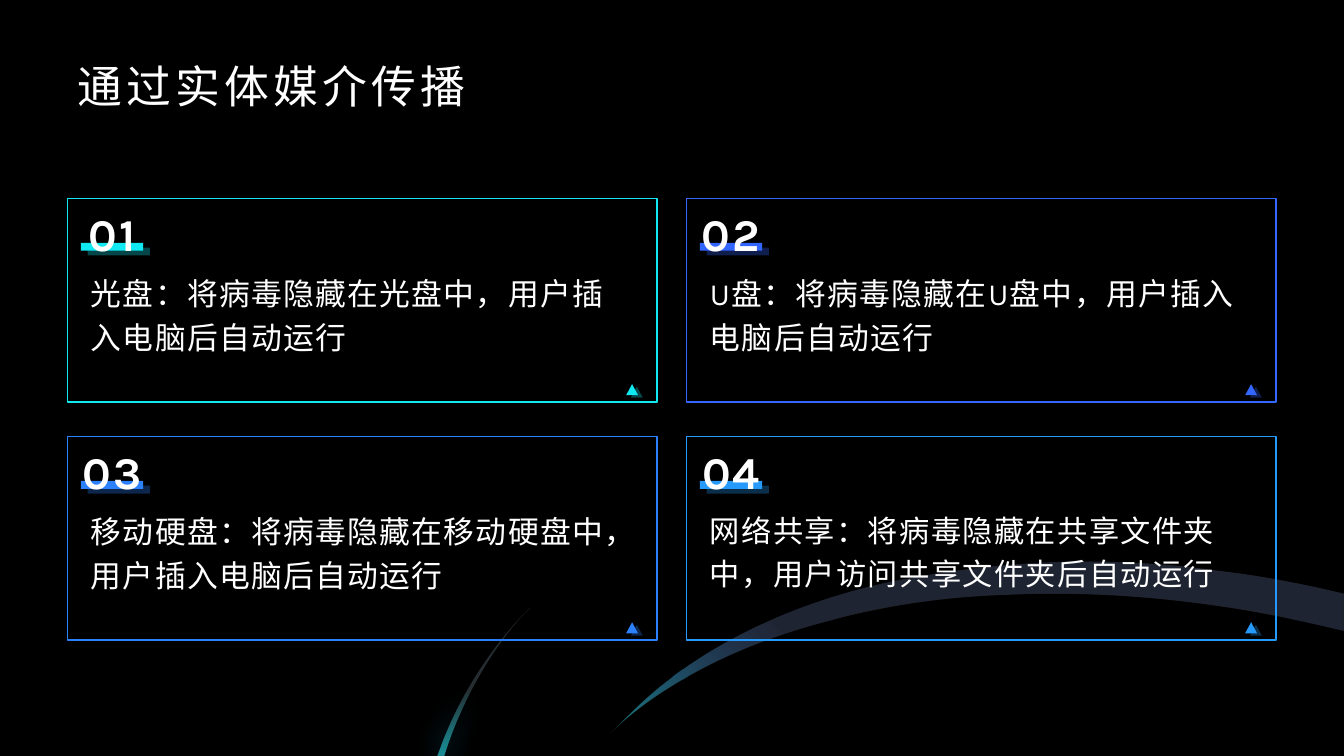
from dataclasses import dataclass
from typing import NamedTuple

from lxml import etree
from pptx import Presentation
from pptx.dml.color import RGBColor
from pptx.enum.shapes import MSO_SHAPE
from pptx.enum.text import MSO_ANCHOR, MSO_AUTO_SIZE, PP_ALIGN
from pptx.oxml.ns import qn
from pptx.util import Cm, Pt

RECT, TRI = MSO_SHAPE.RECTANGLE, MSO_SHAPE.ISOSCELES_TRIANGLE
TOP, BASE = MSO_ANCHOR.TOP, MSO_ANCHOR.BOTTOM
LEFT, MID = PP_ALIGN.LEFT, PP_ALIGN.CENTER
FIXED = MSO_AUTO_SIZE.NONE


@dataclass(frozen=True)
class Theme:
    back: str = "000000"
    text: str = "FFFFFF"
    teal: str = "10E9F2"
    blue: str = "3366FF"
    azure: str = "2C80FC"
    sky: str = "259AFA"
    glow: str = "1EB5F7"
    band: str = "1E1D1B"
    streak: str = "252D30"
    head: str = "Roboto"
    body: str = "Karla"
    title: float = 32
    note: float = 22
    small: float = 21.6
    num: float = 32.4


class Box(NamedTuple):
    left: float
    top: float
    width: float
    height: float

    def emu(self) -> list:
        return [Cm(v) for v in self]


class Card(NamedTuple):
    num: str
    text: str
    color: str
    size: float


class Mark(NamedTuple):
    kind: int
    box: Box
    alpha: int


class Stop(NamedTuple):
    pos: int
    color: str
    alpha: int


T = Theme()
CARDS = [
    Card("01", "光盘：将病毒隐藏在光盘中，用户插入电脑后自动运行", T.teal, T.note),
    Card("02", "U盘：将病毒隐藏在U盘中，用户插入电脑后自动运行", T.blue, T.note),
    Card("03", "移动硬盘：将病毒隐藏在移动硬盘中，用户插入电脑后自动运行",
         T.azure, T.note),
    Card("04", "网络共享：将病毒隐藏在共享文件夹中，用户访问共享文件夹后自动运行",
         T.sky, T.small),
]

# Card grid, and places inside a card
FIRST = Box(1.7, 5, 14.86, 5.13)
STEP_X, STEP_Y = 15.6, 6
BODY = Box(0.34, 1.6, 13.87, 3.3)
NUM = Box(0.06, -0.1, 2.13, 1.8)
MARKS = [
    Mark(RECT, Box(0.51, 1.24, 1.57, 0.2), 30),
    Mark(RECT, Box(0.34, 1.12, 1.57, 0.2), 100),
    Mark(TRI, Box(14.2, 4.74, 0.3, 0.28), 30),
    Mark(TRI, Box(14.08, 4.68, 0.3, 0.28), 100),
]

# Outlines: a pair is a line end, six numbers are a cubic curve
BAND = [
    (15.37, 18.49), (16.15, 17.73),
    (17.02, 16.92, 18.03, 16.28, 19.15, 15.75),
    (20.32, 15.21, 21.59, 14.81, 22.86, 14.58),
    (24.38, 14.3, 25.91, 14.15, 27.36, 14.15),
    (28.45, 14.15, 29.59, 14.22, 30.68, 14.38),
    (31.75, 14.5, 32.82, 14.71, 33.87, 14.96),
    (33.87, 15.9),
    (32.82, 15.65, 31.75, 15.42, 30.68, 15.27),
    (28.88, 15.01, 27.13, 14.91, 25.4, 14.99),
    (23.77, 15.04, 22.25, 15.27, 20.8, 15.67),
    (19.63, 15.98, 18.59, 16.38, 17.63, 16.89),
    (16.76, 17.35, 16, 17.88, 15.37, 18.49),
]
STREAK = [
    (13.36, 15.32), (12.6, 16.05, 11.68, 17.48, 11.2, 19.05),
    (11.02, 19.05), (11.83, 16.7, 13.36, 15.32, 13.36, 15.32),
]


def tint(node, color: str, alpha: int) -> None:
    clr = etree.SubElement(node, qn("a:srgbClr"), val=color)
    etree.SubElement(clr, qn("a:alpha"), val=str(alpha * 1000))


def paint(shape, color: str, alpha: int = 100) -> None:
    shape.shadow.inherit = False
    shape.line.fill.background()
    shape.fill.solid()
    shape.fill.fore_color.rgb = RGBColor.from_string(color)
    if alpha < 100:
        clr = shape.fill._xPr.find(".//" + qn("a:srgbClr"))
        etree.SubElement(clr, qn("a:alpha"), val=str(alpha * 1000))


def blend(shape, stops: list[Stop], angle: int) -> None:
    shape.fill.background()
    props = shape.fill._xPr
    grad = etree.Element(qn("a:gradFill"), rotWithShape="1")
    group = etree.SubElement(grad, qn("a:gsLst"))
    for stop in stops:
        node = etree.SubElement(group, qn("a:gs"), pos=str(stop.pos * 1000))
        tint(node, stop.color, stop.alpha)
    etree.SubElement(grad, qn("a:lin"), ang=str(angle * 60000), scaled="0")
    props.replace(props.find(qn("a:noFill")), grad)


def halo(shape, color: str, blur: int) -> None:
    effects = shape.fill._xPr.find(qn("a:effectLst"))
    node = etree.SubElement(effects, qn("a:outerShdw"), blurRad=str(Pt(blur)),
                            dist="0", dir="0", algn="ctr", rotWithShape="0")
    tint(node, color, 100)


def trace(outline: list[tuple], parts: int = 16) -> list[tuple]:
    points = [outline[0]]
    for step in outline[1:]:
        if len(step) == 2:
            points.append(step)
            continue
        start = points[-1]
        for i in range(1, parts + 1):
            t = i / parts
            u = 1 - t
            points.append(tuple(
                u**3 * start[k] + 3 * u * u * t * step[k]
                + 3 * u * t * t * step[k + 2] + t**3 * step[k + 4]
                for k in (0, 1)))
    return [(Cm(x), Cm(y)) for x, y in points]


def curve(slide, outline: list[tuple], color: str):
    points = trace(outline)
    form = slide.shapes.build_freeform(*points[0], scale=1.0)
    form.add_line_segments(points[1:], close=True)
    shape = form.convert_to_shape()
    paint(shape, color)
    return shape


def write(shape, text: str, font: dict, para: dict, frame: dict,
          space: float) -> None:
    body = shape.text_frame
    body.text = text
    line = body.paragraphs[0]
    run = line.runs[0]
    base = {"word_wrap": True, "auto_size": FIXED}
    for item, values in ((body, base | frame), (line, para), (run.font, font)):
        for name, value in values.items():
            setattr(item, name, value)
    run.font.color.rgb = RGBColor.from_string(T.text)
    run.font._element.set("spc", str(int(space * 100)))


def draw(slide, card: Card, x: float, y: float) -> None:
    def place(box: Box) -> list:
        return box._replace(left=x + box.left, top=y + box.top).emu()

    # Frame
    edge = slide.shapes.add_shape(RECT, *FIRST._replace(left=x, top=y).emu())
    edge.shadow.inherit = False
    edge.fill.background()
    edge.line.color.rgb = RGBColor.from_string(card.color)
    edge.line.width = Pt(1)
    # Bars and triangles
    for mark in MARKS:
        shape = slide.shapes.add_shape(mark.kind, *place(mark.box))
        paint(shape, card.color, mark.alpha)
    # Text and number
    write(slide.shapes.add_textbox(*place(BODY)), card.text,
          {"name": T.body, "size": Pt(card.size)},
          {"line_spacing": 1.2}, {"vertical_anchor": TOP}, 1)
    write(slide.shapes.add_textbox(*place(NUM)), card.num,
          {"name": T.body, "size": Pt(T.num), "bold": True},
          {"line_spacing": 1.1, "alignment": MID},
          {"vertical_anchor": BASE}, 1.5)


def main() -> None:
    deck = Presentation()
    deck.slide_width, deck.slide_height = Cm(33.87), Cm(19.05)
    slide = deck.slides.add_slide(deck.slide_layouts[5])
    slide.background.fill.solid()
    slide.background.fill.fore_color.rgb = RGBColor.from_string(T.back)

    # Curves: a dark base under a fading tint
    curve(slide, BAND, T.band)
    curve(slide, STREAK, T.streak)
    blend(curve(slide, BAND, T.band),
          [Stop(0, T.teal, 50), Stop(31, T.blue, 10)], 315)
    ray = curve(slide, STREAK, T.streak)
    blend(ray, [Stop(55, T.teal, 0), Stop(100, T.teal, 50)], 90)
    halo(ray, T.glow, 20)

    # Title
    title = slide.shapes.title
    title.left, title.top, title.width, title.height = Box(
        1.7, 1.27, 30.48, 1.57).emu()
    write(title, "通过实体媒介传播", {"name": T.head, "size": Pt(T.title)},
          {"alignment": LEFT},
          {"vertical_anchor": BASE, "margin_top": 0, "margin_bottom": 0}, 3)

    # Cards
    for i, card in enumerate(CARDS):
        row, col = divmod(i, 2)
        draw(slide, card, FIRST.left + col * STEP_X, FIRST.top + row * STEP_Y)
    deck.save("out.pptx")


if __name__ == "__main__":
    main()
